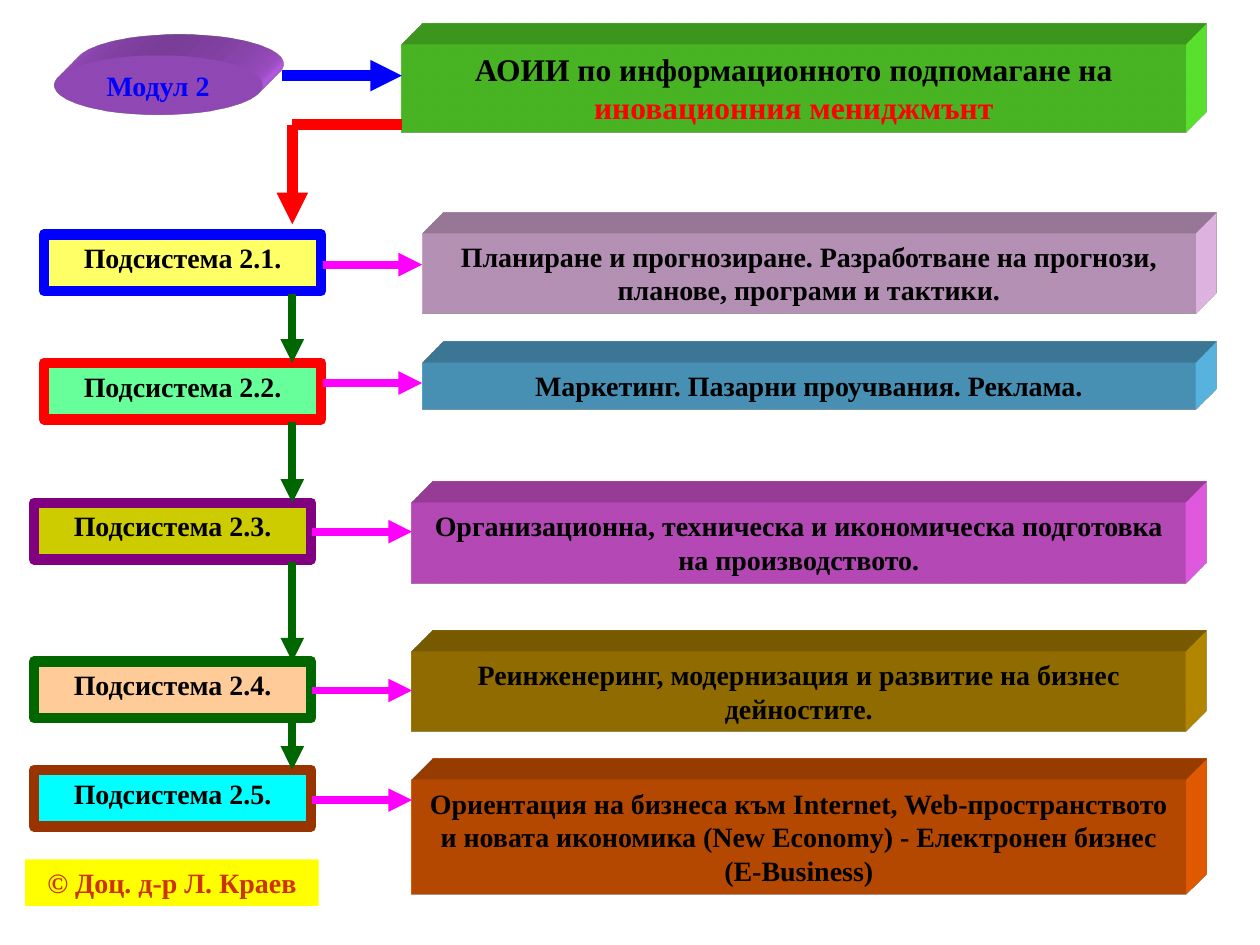
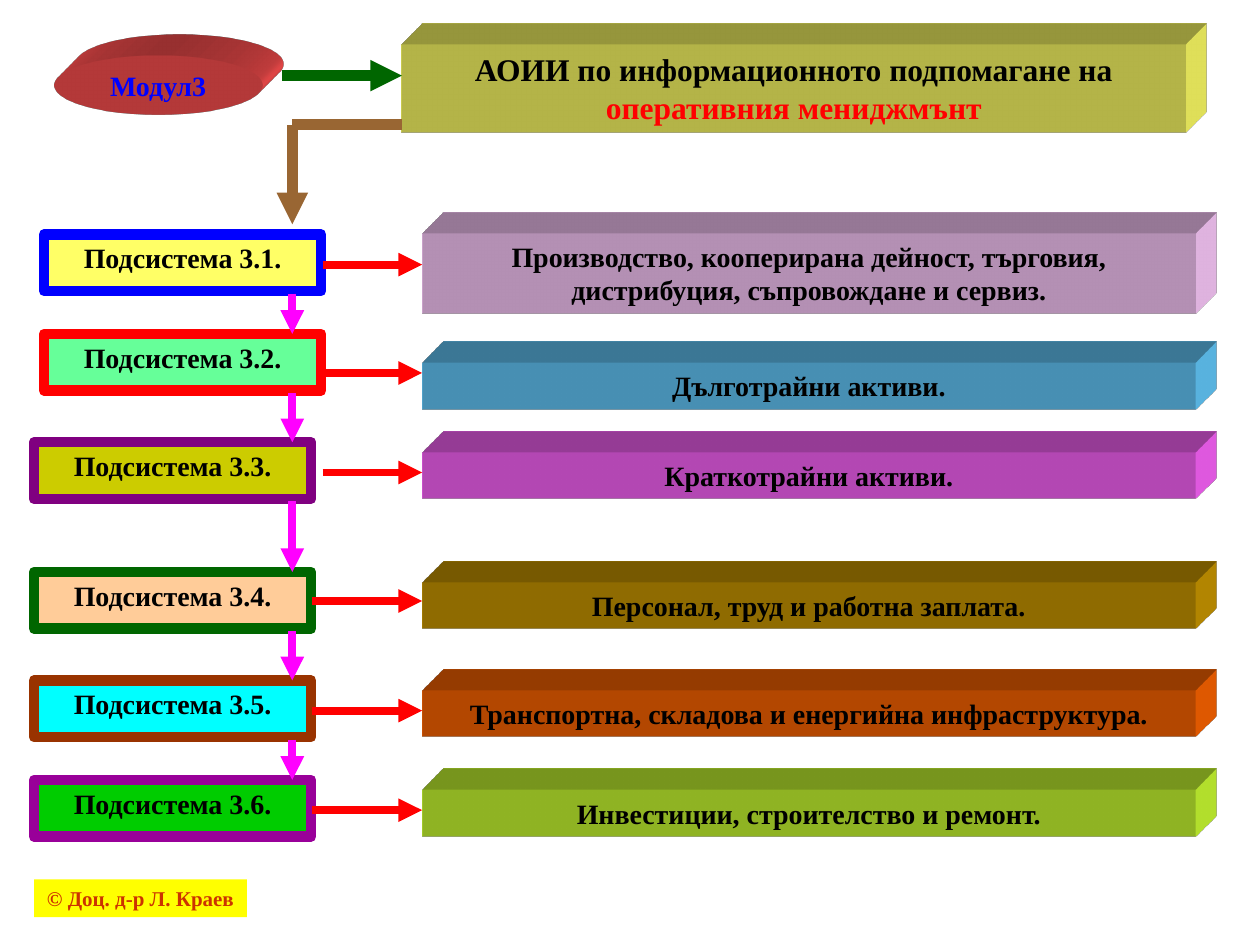
from lxml import etree
from pptx import Presentation
from pptx.dml.color import RGBColor
from pptx.enum.shapes import MSO_CONNECTOR, MSO_SHAPE
from pptx.enum.text import MSO_ANCHOR, PP_ALIGN
from pptx.oxml import parse_xml
from pptx.oxml.ns import nsdecls, qn
from pptx.util import Inches, Pt

RECT, OVAL = MSO_SHAPE.RECTANGLE, MSO_SHAPE.OVAL
STRAIGHT = MSO_CONNECTOR.STRAIGHT
TOP, MIDDLE, CENTER = MSO_ANCHOR.TOP, MSO_ANCHOR.MIDDLE, PP_ALIGN.CENTER

FONT = "Times New Roman"
BLACK = RGBColor(0x00, 0x00, 0x00)
BLUE = RGBColor(0x00, 0x00, 0xFF)
RED = RGBColor(0xFF, 0x00, 0x00)
MAGENTA = RGBColor(0xFF, 0x00, 0xFF)
DARK_GREEN = RGBColor(0x00, 0x66, 0x00)
BROWN = RGBColor(0x99, 0x66, 0x33)
RUST = RGBColor(0xCC, 0x33, 0x00)
YELLOW = RGBColor(0xFF, 0xFF, 0x00)
LEMON = RGBColor(0xFF, 0xFF, 0x66)
VIOLET = RGBColor(0xCC, 0x66, 0xFF)
CORAL = RGBColor(0xFF, 0x50, 0x50)
LIME = RGBColor(0x66, 0xFF, 0x33)

# Label fill, label border, topic fill: one entry per subsystem
ROW_COLORS = [
    (LEMON, BLUE, RGBColor(0xFF, 0xCC, 0xFF)),
    (RGBColor(0x66, 0xFF, 0x99), RED, RGBColor(0x66, 0xCC, 0xFF)),
    (RGBColor(0xCC, 0xCC, 0x00), RGBColor(0x80, 0x00, 0x80), RGBColor(0xFF, 0x66, 0xFF)),
    (RGBColor(0xFF, 0xCC, 0x99), DARK_GREEN, RGBColor(0xCC, 0x99, 0x00)),
    (RGBColor(0x00, 0xFF, 0xFF), RGBColor(0x99, 0x33, 0x00), RGBColor(0xFF, 0x66, 0x00)),
    (RGBColor(0x00, 0xCC, 0x00), RGBColor(0x99, 0x00, 0x99), RGBColor(0xCC, 0xFF, 0x33)),
]

# Rows: text, text lines, label top, topic top, arrow height,
# and which of label, arrow start and topic are shifted right by SHIFT
MODULES = [
    dict(
        number=2, name="Модул 2", subject="иновационния мениджмънт",
        oval=VIOLET, title=LIME, lead=BLUE, elbow=RED, across=MAGENTA, down=DARK_GREEN,
        footer=(0.2, 6.82, 2.33, 0.37), footer_size=16,
        rows=[
            ("Планиране и прогнозиране. Разработване на прогнози, планове, програми и тактики.",
             2, 1.86, 1.85, 2.1, (1, 1, 1)),
            ("Маркетинг. Пазарни проучвания. Реклама.", 1, 2.88, 2.88, 3.04, (1, 1, 1)),
            ("Организационна, техническа и икономическа подготовка на производството.",
             2, 3.99, 3.99, 4.22, (0, 0, 0)),
            ("Реинженеринг, модернизация и развитие на бизнес дейностите.",
             2, 5.25, 5.17, 5.48, (0, 0, 0)),
            ("Ориентация на бизнеса към Internet, Web-пространството и новата икономика "
             "(New Economy) - Електронен бизнес (E-Business)",
             3, 6.11, 6.19, 6.35, (0, 0, 0)),
        ],
    ),
    dict(
        number=3, name="Модул3", subject="оперативния мениджмънт",
        oval=CORAL, title=LEMON, lead=DARK_GREEN, elbow=BROWN, across=RED, down=MAGENTA,
        footer=(0.27, 6.98, 1.69, 0.3), footer_size=12,
        rows=[
            ("Производство, кооперирана дейност, търговия, дистрибуция, съпровождане и сервиз.",
             2, 1.86, 1.85, 2.1, (1, 1, 1)),
            ("Дълготрайни активи.", 1, 2.65, 2.88, 2.96, (1, 1, 1)),
            ("Краткотрайни активи.", 1, 3.51, 3.59, 3.75, (0, 1, 1)),
            ("Персонал, труд и работна заплата.", 1, 4.54, 4.62, 4.77, (0, 0, 1)),
            ("Транспортна, складова и енергийна инфраструктура.",
             1, 5.4, 5.48, 5.64, (0, 0, 1)),
            ("Инвестиции, строителство и ремонт.", 1, 6.19, 6.27, 6.43, (0, 0, 1)),
        ],
    ),
]
TITLE_START = "АОИИ по информационното подпомагане на "
FOOTER = "© Доц. д-р Л. Краев"

# Grid, in inches
SHIFT = 0.08
LABEL_X, LABEL_W, LABEL_H = 0.27, 2.2, 0.45
ARROW_X, TOPIC_X, TOPIC_W = 2.48, 3.27, 6.14
PAD, LINE_H = 0.1, 0.27
SPINE_X, TITLE_X = 2.32, 3.19
LEAD_Y, ELBOW_Y, ELBOW_END = 0.6, 0.99, 1.78
THICK, THIN = 6, 4.5


def add_box(slide, box, fill, runs, size=16, kind=RECT, border=None, anchor=TOP, wrap=True):
    sp = slide.shapes.add_shape(kind, *map(Inches, box))
    sp.shadow.inherit = False
    sp.fill.solid()
    sp.fill.fore_color.rgb = fill
    if border is None:
        sp.line.fill.background()
    else:
        sp.line.color.rgb = border
        sp.line.width = Pt(THICK)
    tf = sp.text_frame
    tf.word_wrap = wrap
    tf.vertical_anchor = anchor
    p = tf.paragraphs[0]
    p.alignment = CENTER
    for text, color in runs:
        r = p.add_run()
        r.text = text
        r.font.name = FONT
        r.font.size = Pt(size)
        r.font.bold = True
        r.font.color.rgb = color
    return sp


def extrude(sp, color):
    """Give the shape an oblique depth towards the top right."""
    ns = nsdecls("a")
    sp._element.spPr.append(parse_xml(
        f'<a:scene3d {ns}><a:camera prst="legacyObliqueTopRight"/>'
        '<a:lightRig rig="legacyFlat3" dir="b"/></a:scene3d>'))
    sp._element.spPr.append(parse_xml(
        f'<a:sp3d {ns} extrusionH="430200" prstMaterial="legacyMatte">'
        '<a:bevelT w="13500" h="13500" prst="angle"/>'
        '<a:bevelB w="13500" h="13500" prst="angle"/>'
        f'<a:extrusionClr><a:srgbClr val="{color}"/></a:extrusionClr></a:sp3d>'))


def add_line(slide, x1, y1, x2, y2, color, width, arrow=True):
    line = slide.shapes.add_connector(STRAIGHT, *map(Inches, (x1, y1, x2, y2)))
    line.line.color.rgb = color
    line.line.width = Pt(width)
    if arrow:
        etree.SubElement(line.line._get_or_add_ln(), qn("a:tailEnd"), type="triangle")
    etree.SubElement(line._element.spPr, qn("a:effectLst"))


def add_header(slide, m):
    add_box(slide, m["footer"], YELLOW, [(FOOTER, RUST)], m["footer_size"], wrap=False)
    oval = add_box(slide, (0.43, 0.44, 1.65, 0.47), m["oval"], [(m["name"], BLUE)],
                   kind=OVAL, anchor=MIDDLE, wrap=False)
    extrude(oval, m["oval"])
    title = add_box(slide, (TITLE_X, 0.35, 6.22, 0.7), m["title"],
                    [(TITLE_START, BLACK), (m["subject"], RED)], 18)
    extrude(title, m["title"])
    add_line(slide, 2.24, LEAD_Y, TITLE_X, LEAD_Y, m["lead"], THICK)
    add_line(slide, TITLE_X, ELBOW_Y, SPINE_X, ELBOW_Y, m["elbow"], THICK, arrow=False)
    add_line(slide, SPINE_X, ELBOW_Y, SPINE_X, ELBOW_END, m["elbow"], THICK)


def add_rows(slide, m):
    rows = m["rows"]
    for i, (row, colors) in enumerate(zip(rows, ROW_COLORS), 1):
        text, lines, label_y, topic_y, _, (label_in, _, topic_in) = row
        fill, border, topic_fill = colors
        add_box(slide, (LABEL_X + SHIFT * label_in, label_y, LABEL_W, LABEL_H), fill,
                [(f"Подсистема {m['number']}.{i}.", BLACK)], border=border)
        topic = add_box(slide, (TOPIC_X + SHIFT * topic_in, topic_y, TOPIC_W, PAD + LINE_H * lines),
                        topic_fill, [(text, BLACK)])
        extrude(topic, topic_fill)
    for _, _, _, _, y, (_, arrow_in, topic_in) in rows:
        add_line(slide, ARROW_X + SHIFT * arrow_in, y, TOPIC_X + SHIFT * topic_in, y,
                 m["across"], THIN)
    for upper, lower in zip(rows, rows[1:]):
        add_line(slide, SPINE_X, upper[2] + LABEL_H + 0.02, SPINE_X, lower[2], m["down"], THIN)


def main():
    prs = Presentation()
    prs.slide_width, prs.slide_height = Inches(10), Inches(7.5)
    for m in MODULES:
        slide = prs.slides.add_slide(prs.slide_layouts[6])
        add_header(slide, m)
        add_rows(slide, m)
    prs.save("out.pptx")


if __name__ == "__main__":
    main()
